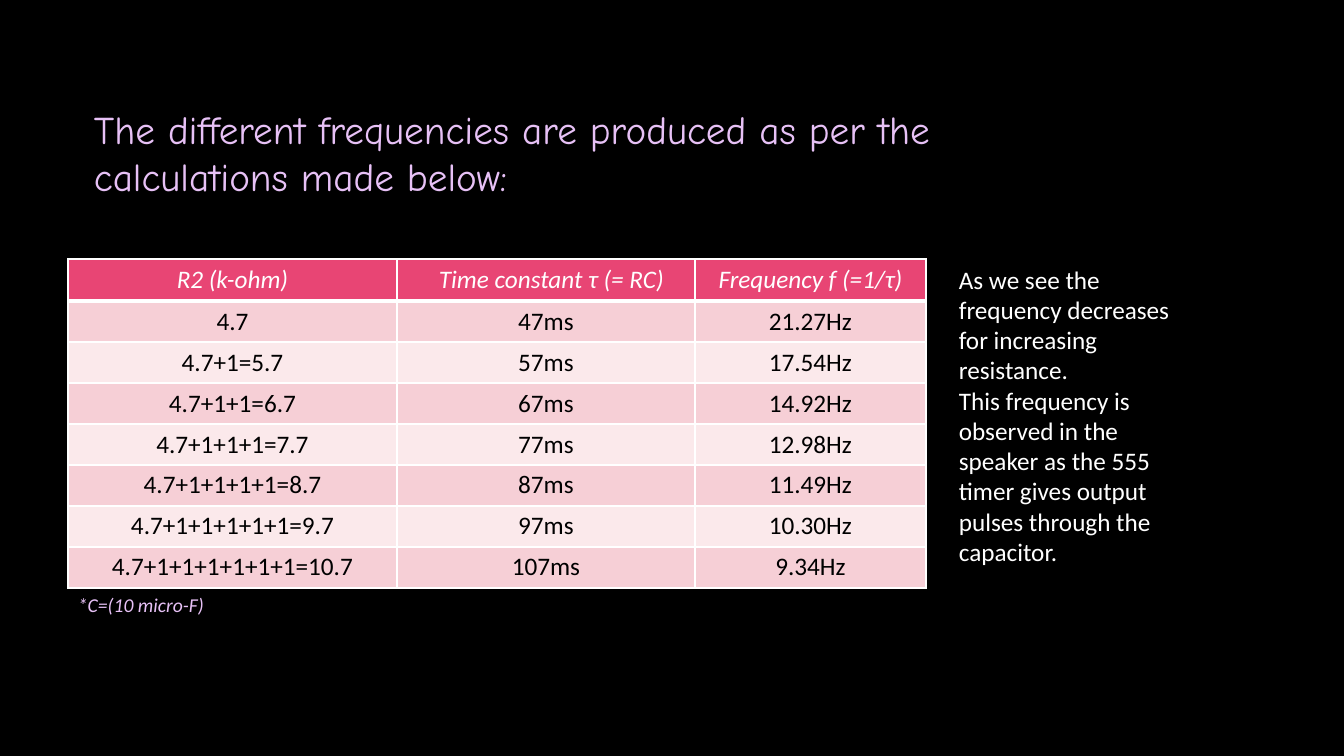
from lxml import etree
from pptx import Presentation
from pptx.dml.color import RGBColor
from pptx.enum.text import MSO_AUTO_SIZE, PP_ALIGN
from pptx.oxml.ns import qn
from pptx.util import Pt

CENTER, LEFT = PP_ALIGN.CENTER, PP_ALIGN.LEFT
FIT_SHAPE = MSO_AUTO_SIZE.SHAPE_TO_FIT_TEXT
PX = 914400 / 100.8
WHITE, BLACK, LILAC = "FFFFFF", "000000", "E7C1F6"
PINK, ROSE, BLUSH = "E84574", "F6CFD6", "FBE9EB"


def rgb(color):
    return RGBColor.from_string(color)


def write(tf, text, size=18, font="Calibri", color=WHITE, italic=False, align=LEFT):
    for i, line in enumerate(text.split("\n")):
        p = tf.add_paragraph() if i else tf.paragraphs[0]
        p.alignment = align
        r = p.add_run()
        r.text = line
        r.font.size, r.font.name = Pt(size), font
        r.font.italic, r.font.color.rgb = italic, rgb(color)


prs = Presentation()
prs.slide_width, prs.slide_height = round(1344 * PX), round(756 * PX)
s = prs.slides.add_slide(prs.slide_layouts[6])
s.background.fill.solid()
s.background.fill.fore_color.rgb = rgb(BLACK)

# Title, footnote and side remark
TEXTS = [
    ((84, 100, 925, 105),
     "The different frequencies are produced as per the calculations made below:",
     dict(size=28, font="Comic Neue", color=LILAC)),
    ((68, 588, 175, 34), "*C=(10 micro-F)", dict(size=14, color=LILAC, italic=True)),
    ((949, 259, 245, 315),
     "As we see the frequency decreases for increasing resistance.\n"
     "This frequency is observed in the speaker as the 555 timer gives output "
     "pulses through the capacitor.", {}),
]
for box, text, style in TEXTS:
    tf = s.shapes.add_textbox(*(round(v * PX) for v in box)).text_frame
    tf.word_wrap = True
    tf.auto_size = FIT_SHAPE
    write(tf, text, **style)

# Frequency table
ROWS = [
    ("R2 (k-ohm)", "Time constant τ (= RC)", "Frequency f (=1/τ)"),
    ("4.7", "47ms", "21.27Hz"),
    ("4.7+1=5.7", "57ms", "17.54Hz"),
    ("4.7+1+1=6.7", "67ms", "14.92Hz"),
    ("4.7+1+1+1=7.7", "77ms", "12.98Hz"),
    ("4.7+1+1+1+1=8.7", "87ms", "11.49Hz"),
    ("4.7+1+1+1+1+1=9.7", "97ms", "10.30Hz"),
    ("4.7+1+1+1+1+1+1=10.7", "107ms", "9.34Hz"),
]
COLS = [329, 298, 231]
HEADER_H, ROW_H = 42, 41
height = HEADER_H + ROW_H * (len(ROWS) - 1)
table = s.shapes.add_table(len(ROWS), len(COLS), round(68 * PX), round(259 * PX),
                           round(sum(COLS) * PX), round(height * PX)).table
for col, width in zip(table.columns, COLS):
    col.width = round(width * PX)

for i, row in enumerate(ROWS):
    header = i == 0
    table.rows[i].height = round((HEADER_H if header else ROW_H) * PX)
    fill = PINK if header else (ROSE if i % 2 else BLUSH)
    for j, text in enumerate(row):
        cell = table.cell(i, j)
        write(cell.text_frame, text, color=WHITE if header else BLACK,
              italic=header, align=CENTER)
        # White borders, thicker below the header
        tcPr = cell._tc.get_or_add_tcPr()
        for side in "LRTB":
            thick = (i, side) in ((0, "B"), (1, "T"))
            ln = etree.SubElement(tcPr, qn(f"a:ln{side}"), w=str(Pt(3 if thick else 1)))
            line_fill = etree.SubElement(ln, qn("a:solidFill"))
            etree.SubElement(line_fill, qn("a:srgbClr"), val=WHITE)
        cell.fill.solid()
        cell.fill.fore_color.rgb = rgb(fill)

# The time constant heading sits slightly right of centre
table.cell(0, 1).margin_left = round(21 * PX)

prs.save("out.pptx")
